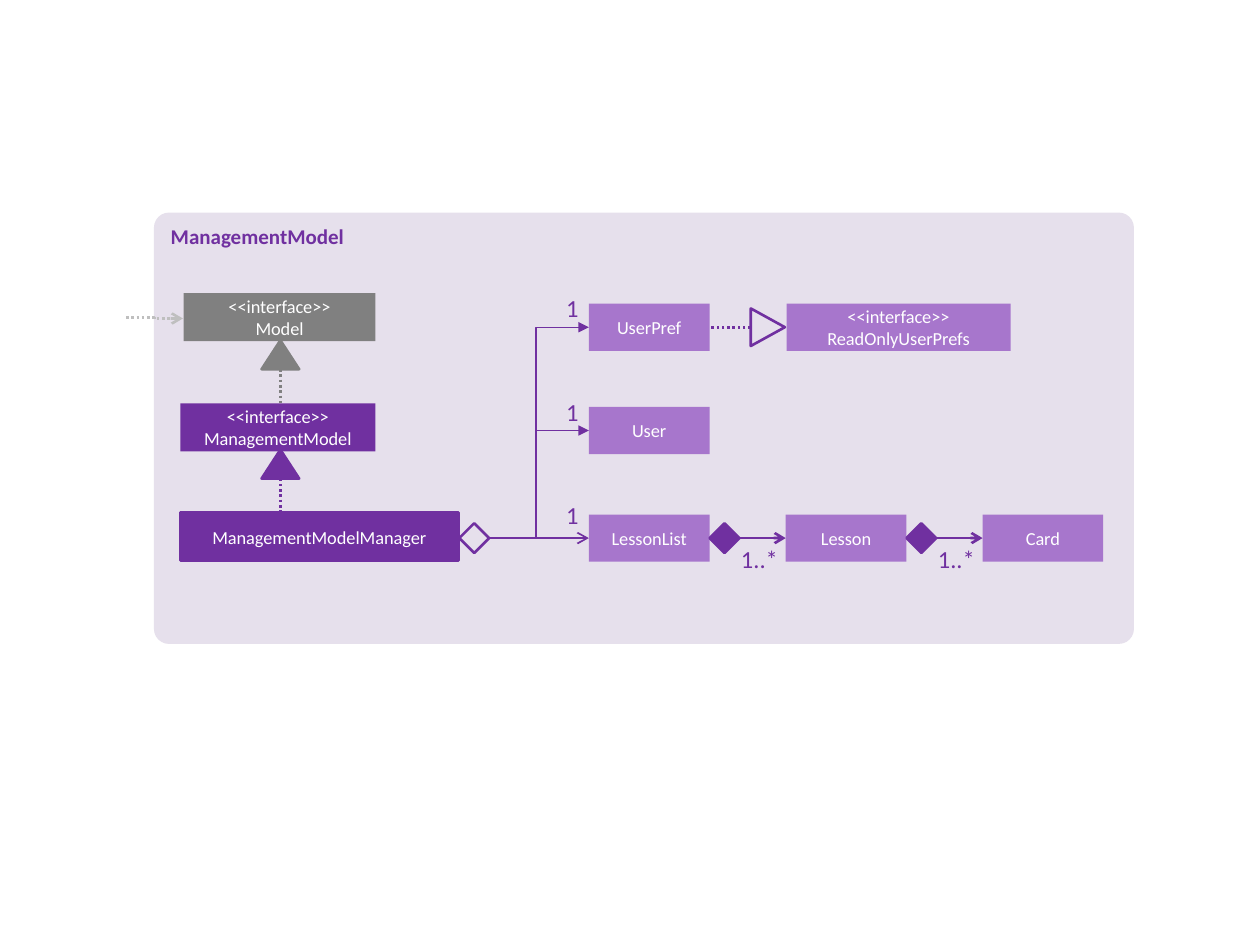
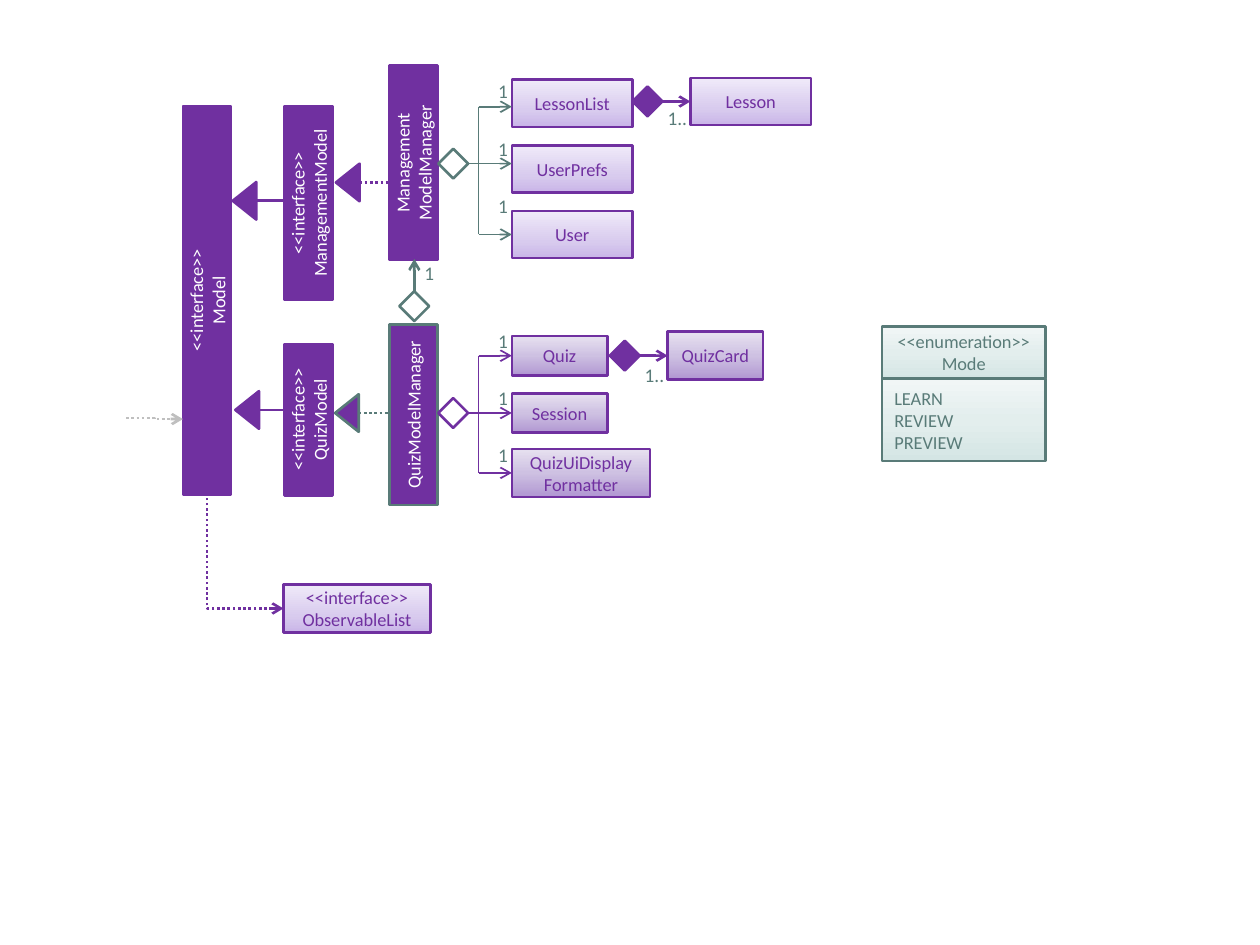
from collections import namedtuple
from copy import deepcopy
from dataclasses import dataclass

from pptx import Presentation
from pptx.dml.color import RGBColor
from pptx.enum.dml import MSO_LINE
from pptx.enum.shapes import MSO_CONNECTOR, MSO_SHAPE
from pptx.enum.text import MSO_ANCHOR, PP_ALIGN
from pptx.oxml.ns import qn
from pptx.util import Pt
from lxml.etree import SubElement


@dataclass(frozen=True)
class Theme:
    font: str = "Calibri"
    purple: str = "7030A0"
    lilac: str = "A776CC"
    panel: str = "E6E0EC"
    grey: str = "808080"
    pale_grey: str = "BFBFBF"
    teal: str = "597B78"
    white: str = "FFFFFF"
    # Gradients run from the bottom edge up: (position, colour)
    lilac_fade: tuple = ((0, "C9B5E8"), (0.35, "D8CBEE"), (1, "F0EAF9"))
    violet_fade: tuple = ((0, "B197D2"), (0.5, "CEC1E2"), (1, "E7E1F0"))
    teal_fade: tuple = ((0, "D4E5E4"), (0.5, "E3EEED"), (1, "F1F6F6"))
    title_size: float = 12
    name_size: float = 10.5
    count_size: float = 14
    small_count_size: float = 11
    thick: float = 1.5
    medium: float = 1
    thin: float = 0.75


THEME = Theme()
TOP, LEFT, BOTTOM, RIGHT = range(4)
DIAMOND = 17
TRIANGLE_BASE = 21.5
Joint = namedtuple("Joint", "shape side")


def rgb(colour):
    return RGBColor.from_string(colour)


def write(frame, text, size, colour, align=PP_ALIGN.CENTER, bold=None):
    frame.text = text
    for paragraph in frame.paragraphs:
        paragraph.alignment = align
        paragraph.font.name = THEME.font
        paragraph.font.size = Pt(size)
        paragraph.font.bold = bold
        paragraph.font.color.rgb = rgb(colour)


def paint(shape, fill, outline):
    shape.shadow.inherit = False
    if fill is None:
        shape.fill.background()
    elif isinstance(fill, str):
        shape.fill.solid()
        shape.fill.fore_color.rgb = rgb(fill)
    else:
        shape.fill.gradient()
        shape.fill.gradient_angle = 90
        stops = shape._element.spPr.find(qn("a:gradFill")).find(qn("a:gsLst"))
        stops.append(deepcopy(stops[0]))
        for stop, (position, colour) in zip(shape.fill.gradient_stops, fill):
            stop.position = position
            stop.color.rgb = rgb(colour)
    if outline:
        shape.line.color.rgb = rgb(outline)
        shape.line.width = Pt(THEME.thick)
    else:
        shape.line.fill.background()


class Region:
    """A drawing area whose parts are placed from its top left corner."""

    def __init__(self, slide, left, top):
        self.shapes, self.left, self.top = slide.shapes, left, top

    def at(self, x, y):
        return Pt(self.left + x), Pt(self.top + y)

    def shape(self, kind, box, fill=None, outline=None, turn=0):
        """Draw a shape that fills box once it has been turned."""
        x, y, width, height = box
        if turn in (90, 270):
            x, y = x + (width - height) / 2, y + (height - width) / 2
            width, height = height, width
        drawn = self.shapes.add_shape(kind, *self.at(x, y), Pt(width), Pt(height))
        drawn.rotation = turn
        paint(drawn, fill, outline)
        return drawn

    def node(self, text, box, fill, outline=None, colour=THEME.white,
             align=PP_ALIGN.CENTER, turn=0):
        drawn = self.shape(MSO_SHAPE.RECTANGLE, box, fill, outline, turn)
        drawn.text_frame.word_wrap = True
        drawn.text_frame.vertical_anchor = MSO_ANCHOR.MIDDLE
        write(drawn.text_frame, text, THEME.name_size, colour, align)
        return drawn

    def diamond(self, x, middle, fill=None, outline=THEME.purple):
        box = (x, middle - DIAMOND / 2, DIAMOND, DIAMOND)
        return self.shape(MSO_SHAPE.FLOWCHART_DECISION, box, fill, outline)

    def count(self, text, x, y, size, colour, width=15):
        label = self.shapes.add_textbox(*self.at(x, y), Pt(width), Pt(14.4))
        frame = label.text_frame
        frame.word_wrap = False
        frame.margin_left = frame.margin_right = 0
        frame.margin_top = frame.margin_bottom = 0
        write(frame, text, size, colour)

    def line(self, start, end, colour=THEME.purple, width=THEME.thick, dotted=False,
             head=None, kind=MSO_CONNECTOR.STRAIGHT):
        points = [(0, 0) if isinstance(p, Joint) else p for p in (start, end)]
        drawn = self.shapes.add_connector(kind, *self.at(*points[0]), *self.at(*points[1]))
        if isinstance(start, Joint):
            drawn.begin_connect(*start)
        if isinstance(end, Joint):
            drawn.end_connect(*end)
        drawn.line.color.rgb = rgb(colour)
        drawn.line.width = Pt(width)
        if dotted:
            drawn.line.dash_style = MSO_LINE.ROUND_DOT
        if head:
            SubElement(drawn.line._get_or_add_ln(), qn("a:tailEnd"), type=head)
        SubElement(drawn._element.spPr, qn("a:effectLst"))
        return drawn

    def inherit_left(self, x, middle, end, outline=THEME.purple, dotted=False):
        """Triangle pointing left, with a stem that runs right to end."""
        box = (x, middle - TRIANGLE_BASE / 2, 13.5, TRIANGLE_BASE)
        self.shape(MSO_SHAPE.ISOSCELES_TRIANGLE, box, THEME.purple, outline, turn=270)
        self.line((x + 13.5, middle), (end, middle), outline, dotted=dotted)

    def inherit_up(self, x, top, colour):
        """Triangle pointing up, with a dotted stem below it."""
        box = (x, top, TRIANGLE_BASE, 16.5)
        self.shape(MSO_SHAPE.ISOSCELES_TRIANGLE, box, colour, colour)
        stem = x + TRIANGLE_BASE / 2
        self.line((stem, top + 16.5), (stem, top + 36), colour, dotted=True)

    def incoming(self, y, end):
        """Pale dotted arrow that enters from outside."""
        self.line((end - 32.5, y), (end, y + 0.5), THEME.pale_grey, dotted=True,
                  head="arrow", kind=MSO_CONNECTOR.ELBOW)


def management_panel(slide, left, top, width, height):
    area = Region(slide, left, top)

    # Panel and its title
    panel = area.shape(MSO_SHAPE.ROUNDED_RECTANGLE, (0, 0, width, height), THEME.panel)
    panel.adjustments[0] = 0.035
    panel.text_frame.vertical_anchor = MSO_ANCHOR.TOP
    write(panel.text_frame, "ManagementModel", THEME.title_size, THEME.purple,
          PP_ALIGN.LEFT, bold=True)

    # Branch from the manager up to the user classes
    branch = area.line((191.5, 186), (248.5, 65.5), width=THEME.thin,
                       head="triangle", kind=MSO_CONNECTOR.ELBOW)
    bend = branch._element.spPr.find(qn("a:prstGeom")).get_or_add_avLst()
    SubElement(bend, qn("a:gd"), name="adj1", fmla="val 47000")

    # Interfaces and the manager that realises them
    area.node("ManagementModelManager", (15, 171.5, 159, 27.5), THEME.purple, THEME.purple)
    area.node("<<interface>>\nModel", (17, 46, 109.5, 27.5), THEME.grey)
    area.incoming(60, 16.5)
    area.node("<<interface>>\nManagementModel", (15, 109, 111.5, 27.5), THEME.purple)
    area.inherit_up(61.5, 73, THEME.grey)
    area.inherit_up(61.5, 135.5, THEME.purple)

    # Classes held by the manager, each with its count
    part_x, part_width, part_height, pitch = 248.5, 69, 27, 112.5
    held = {}
    for name, y, count_y in (("UserPref", 52, 46), ("User", 111, 105.5),
                             ("LessonList", 172.5, 164.5)):
        held[name] = area.node(name, (part_x, y, part_width, part_height), THEME.lilac)
        area.count("1", 231.5, count_y, THEME.count_size, THEME.purple)
    area.line((218, 124.5), Joint(held["User"], LEFT), width=THEME.thin, head="triangle")
    area.line(Joint(area.diamond(174.5, 186), RIGHT), Joint(held["LessonList"], LEFT),
              width=THEME.medium, head="arrow")

    # Chain of compositions: LessonList, Lesson, Card
    for step, name in enumerate(("Lesson", "Card"), 1):
        x = part_x + step * pitch
        whole_edge = x - pitch + part_width
        part = area.node(name, (x, 172.5, part_width, part_height), THEME.lilac)
        whole = area.diamond(whole_edge, 186, THEME.purple)
        area.line(Joint(whole, RIGHT), Joint(part, LEFT), head="arrow")
        area.count("1..*", whole_edge + DIAMOND, 189.5, THEME.count_size, THEME.purple, 23)

    # Read-only interface of the preferences
    area.node("<<interface>>\nReadOnlyUserPrefs", (361.5, 52, 128, part_height), THEME.lilac)
    area.shape(MSO_SHAPE.ISOSCELES_TRIANGLE, (341, 54.75, 19.5, TRIANGLE_BASE),
               outline=THEME.purple, turn=90)
    area.line((341, 65.5), Joint(held["UserPref"], RIGHT), dotted=True)


def model_interfaces(slide, left, top):
    area = Region(slide, left, top)

    # Upright interface bars
    for name, x, y, height in (("Model", 0, 0, 222), ("ManagementModel", 58, 0, 111),
                               ("QuizModel", 58, 136, 86.5)):
        area.node(f"<<interface>>\n{name}", (x, y, 27.5, height), THEME.purple,
                  THEME.purple, turn=270)
    area.inherit_left(28.5, 54.25, 58)
    area.inherit_left(30, 173.75, 58)
    area.incoming(178.5, 0)

    # Observable list, used by the model
    area.node("<<interface>>\vObservableList", (57.5, 273.5, 84, 27.5), THEME.lilac_fade,
              THEME.purple, THEME.purple)
    use = area.line((57.5, 287.25), (13.75, 222), dotted=True, kind=MSO_CONNECTOR.ELBOW)
    use._element.spPr.find(qn("a:prstGeom")).set("prst", "bentConnector2")
    SubElement(use.line._get_or_add_ln(), qn("a:headEnd"), type="arrow")


def manager_tree(slide, left, top, manager, height, inherit, outline, wire, fade,
                 parts, detail):
    """Manager bar, the parts it holds, and the detail of its first part."""
    area = Region(slide, left, top)
    spine, part_x = 51, 70

    # Manager bar and the interface it realises
    area.node(manager, (0, 0, 27.5, height), THEME.purple, outline, turn=270)
    area.inherit_left(*inherit, 0, outline, dotted=True)

    # Parts, each with its arrow and count
    nodes = []
    arrow_ys = [arrow_y for *_, arrow_y, _ in parts]
    for row, (name, y, width, part_height, arrow_y, count_y) in enumerate(parts):
        part = area.node(name, (part_x, y, width, part_height), fade,
                         THEME.purple, THEME.purple)
        nodes.append(part)
        start = (28 + DIAMOND if row == 1 else spine, arrow_y)
        centred = arrow_y == y + part_height / 2
        area.line(start, Joint(part, LEFT) if centred else (part_x, arrow_y),
                  wire, THEME.medium, head="arrow")
        area.count("1", 57.5, count_y, THEME.small_count_size, THEME.teal)
    area.diamond(28, arrow_ys[1], outline=wire)
    area.line((spine, arrow_ys[0]), (spine, arrow_ys[-1]), wire, THEME.medium)

    # Composition to the right of the first part
    name, x, y, width, detail_height, count_y = detail
    item = area.node(name, (x, y, width, detail_height), fade, THEME.purple, THEME.purple)
    whole_x = x - 33
    whole = area.diamond(whole_x, y + detail_height / 2, THEME.purple)
    area.line(Joint(whole, RIGHT), Joint(item, LEFT), head="arrow")
    area.count("1..", whole_x + DIAMOND + 1, count_y, THEME.small_count_size, THEME.teal)


def manager_bridge(slide, left, top):
    area = Region(slide, left, top)
    owner = area.diamond(0, 27, outline=THEME.teal)
    area.line(Joint(owner, TOP), (DIAMOND / 2, 0), THEME.teal, head="arrow")
    area.count("1", 9.5, 1.5, THEME.small_count_size, THEME.teal)


def mode_enumeration(slide, left, top, width):
    area = Region(slide, left, top)
    for text, y, height, align in (
            ("<<enumeration>>\vMode", 0, 30, PP_ALIGN.CENTER),
            ("LEARN\nREVIEW\nPREVIEW", 30, 47, PP_ALIGN.LEFT)):
        area.node(text, (0, y, width, height), THEME.teal_fade, THEME.teal,
                  THEME.teal, align)


def main():
    deck = Presentation()
    deck.slide_width, deck.slide_height = Pt(720), Pt(540)
    blank = deck.slide_layouts[6]

    management_panel(deck.slides.add_slide(blank), 88, 121.5, 560, 246.5)

    overview = deck.slides.add_slide(blank)
    model_interfaces(overview, 104.5, 60.5)
    # Parts: name, top, width, height, arrow y, count y
    manager_tree(
        overview, 222.5, 37.5, "Management\vModelManager", 111, (-30.5, 66.75),
        THEME.purple, THEME.teal, THEME.lilac_fade,
        [("LessonList", 8, 69, 27, 23.5, 8),
         ("UserPrefs", 45.5, 69, 27, 56, 41),
         ("User", 83, 69, 27, 96.5, 73.5)],
        ("Lesson", 172, 7, 69, 27, 23.5))
    manager_tree(
        overview, 222.5, 185.5, "QuizModelManager", 103, (-31, 50.5),
        THEME.teal, THEME.purple, THEME.violet_fade,
        [("Quiz", 6.5, 54.5, 22.5, 17.75, 2.5),
         ("Session", 39.25, 54.5, 22.5, 50.5, 35.5),
         ("QuizUiDisplay\nFormatter", 71, 79, 27.5, 84.75, 68)],
        ("QuizCard", 159, 4, 54.5, 27.5, 22))
    manager_bridge(overview, 228.25, 148)
    mode_enumeration(overview, 504, 186.5, 93.5)

    deck.save("out.pptx")


if __name__ == "__main__":
    main()
